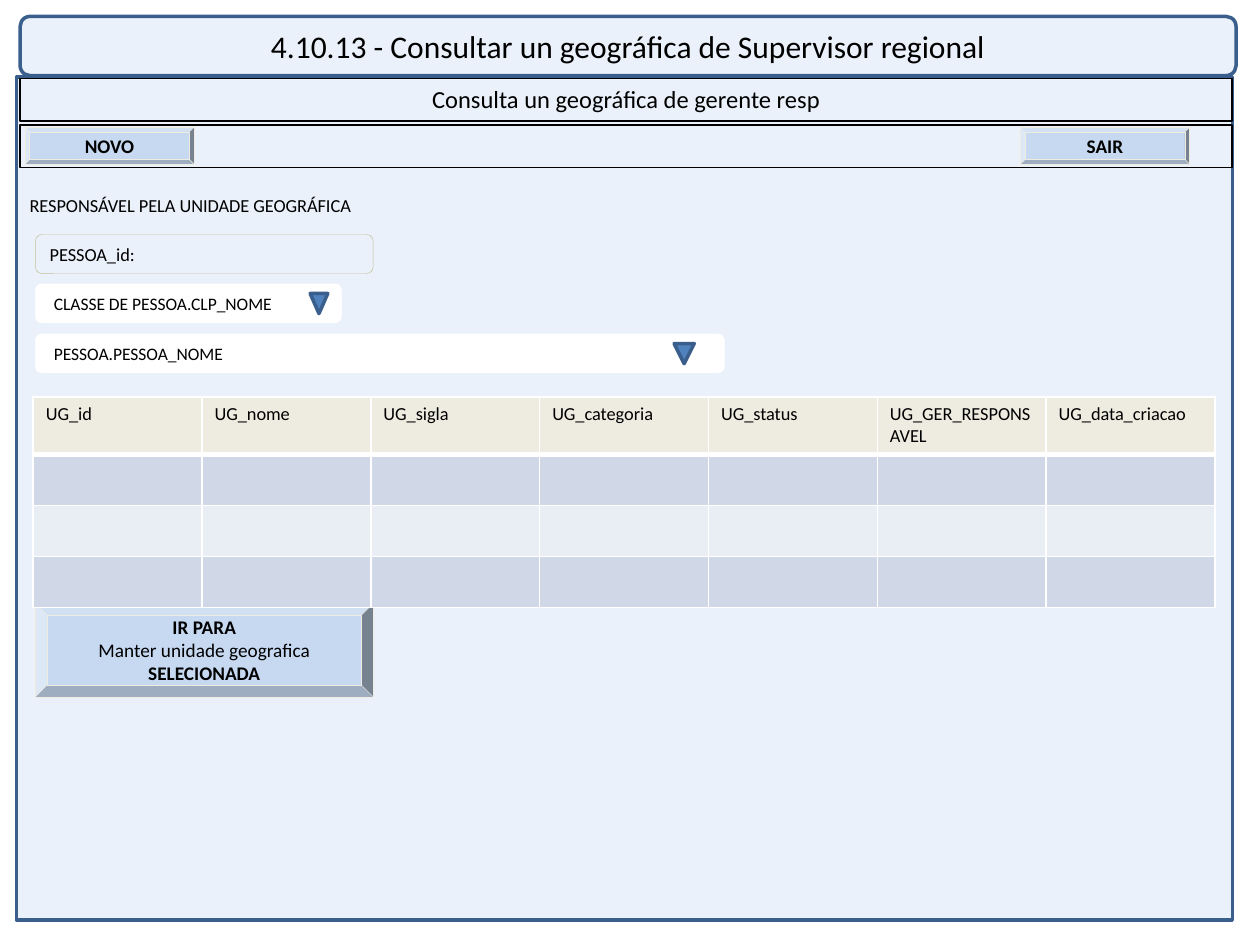
from lxml import etree
from pptx import Presentation
from pptx.dml.color import RGBColor
from pptx.enum.shapes import MSO_SHAPE
from pptx.enum.text import MSO_ANCHOR, PP_ALIGN
from pptx.oxml.ns import qn
from pptx.util import Pt

COLORS = {
    "panel": "EAF1FA", "frame": "3A5F8C", "black": "000000", "white": "FFFFFF",
    "button": "C6D9F1", "cream": "EEECE1", "field": "C4BD97", "arrow": "4F81BD",
    "band_dark": "D0D8E8", "band_light": "E9EDF4",
}
FONT = "Calibri"
COLUMNS = ["UG_id", "UG_nome", "UG_sigla", "UG_categoria", "UG_status",
           "UG_GER_RESPONSAVEL", "UG_data_criacao"]
BANDS = ["band_dark", "band_light", "band_dark"]


def color(name):
    return RGBColor.from_string(COLORS[name])


def write(frame, lines, size, align=PP_ALIGN.LEFT):
    for index, (text, bold) in enumerate(lines):
        paragraph = frame.paragraphs[0] if index == 0 else frame.add_paragraph()
        paragraph.alignment = align
        run = paragraph.add_run()
        run.text = text
        run.font.name = FONT
        run.font.size = Pt(size)
        run.font.bold = bold
        run.font.color.rgb = color("black")


def draw(slide, kind, box, fill=None, line=None, width=0.25, lines=(), size=10.5,
         align=PP_ALIGN.LEFT, anchor=MSO_ANCHOR.MIDDLE, inset=7.2):
    shape = slide.shapes.add_shape(kind, *map(Pt, box))
    shape.shadow.inherit = False
    if fill:
        shape.fill.solid()
        shape.fill.fore_color.rgb = color(fill)
    else:
        shape.fill.background()
    if line:
        shape.line.color.rgb = color(line)
        shape.line.width = Pt(width)
    else:
        shape.line.fill.background()
    frame = shape.text_frame
    frame.word_wrap = True
    frame.vertical_anchor = anchor
    frame.margin_left = Pt(inset)
    write(frame, lines, size, align)
    return shape


def add_button(slide, box, lines):
    draw(slide, MSO_SHAPE.BEVEL, box, "button", "cream", lines=lines, size=11,
         align=PP_ALIGN.CENTER)


def add_header(slide, left, top, width):
    draw(slide, MSO_SHAPE.RECTANGLE, (left, top + 35.3, width - 2.2, 24.5),
         line="black", width=0.75, lines=[("Consulta un geográfica de gerente resp", False)],
         size=14, align=PP_ALIGN.CENTER, anchor=MSO_ANCHOR.TOP)
    draw(slide, MSO_SHAPE.RECTANGLE, (left, top + 62, width - 2.2, 24.5),
         line="black", width=0.75)
    draw(slide, MSO_SHAPE.ROUNDED_RECTANGLE, (left, top, width, 33.8), "panel", "frame", 2,
         [("4.10.13 - Consultar un geográfica de Supervisor regional", False)],
         18, PP_ALIGN.CENTER)
    for offset, label in ((2.9, "NOVO"), (571.7, "SAIR")):
        add_button(slide, (left + offset, top + 63.4, 96.5, 20.9), [(label, True)])


def add_dropdown(slide, left, top, width, label, arrow_left, arrow_width):
    draw(slide, MSO_SHAPE.ROUNDED_RECTANGLE, (left, top, width, 22.3), "white", "white",
         lines=[(label, False)], size=10, inset=9.5)
    arrow = draw(slide, MSO_SHAPE.FLOWCHART_EXTRACT,
                 (left + arrow_left, top + 5.5, arrow_width, 11.5), "arrow", "frame", 2)
    arrow.rotation = 180


def add_filters(slide, left, top):
    draw(slide, MSO_SHAPE.ROUNDED_RECTANGLE, (left - 11.5, top, 278, 22.3),
         lines=[("RESPONSÁVEL PELA UNIDADE GEOGRÁFICA", False)])
    draw(slide, MSO_SHAPE.ROUNDED_RECTANGLE, (left, top + 28.1, 193, 22.3), line="field",
         lines=[("PESSOA_id:", False)])
    add_dropdown(slide, left, top + 56.3, 175, "CLASSE DE PESSOA.CLP_NOME", 157, 10.1)
    add_dropdown(slide, left, top + 84.9, 393.8, "PESSOA.PESSOA_NOME", 365, 11.5)


def set_borders(cell, bottom):
    properties = cell._tc.get_or_add_tcPr()
    for index, (side, width) in enumerate(
            (("lnL", 1), ("lnR", 1), ("lnT", 1), ("lnB", bottom))):
        border = etree.Element(qn(f"a:{side}"), w=str(Pt(width)))
        fill = etree.SubElement(border, qn("a:solidFill"))
        etree.SubElement(fill, qn("a:srgbClr"), val=COLORS["white"])
        properties.insert(index, border)


def add_units_table(slide, left, top, width):
    heights = [32.8] + [29.2] * len(BANDS)
    table = slide.shapes.add_table(len(heights), len(COLUMNS), Pt(left), Pt(top),
                                   Pt(width), Pt(sum(heights))).table
    for column in table.columns:
        column.width = Pt(width / len(COLUMNS))
    for index, (height, fill) in enumerate(zip(heights, ["cream"] + BANDS)):
        table.rows[index].height = Pt(height)
        for cell, label in zip(table.rows[index].cells, COLUMNS):
            cell.fill.solid()
            cell.fill.fore_color.rgb = color(fill)
            set_borders(cell, 3 if index == 0 else 1)
            if index == 0:
                write(cell.text_frame, [(label, False)], 10.5)


def build_screen(slide, left, top):
    draw(slide, MSO_SHAPE.RECTANGLE, (left, top + 34.5, 694.8, 481.7), "panel", "frame", 2)
    add_header(slide, left + 2.1, top, 694.8)
    add_filters(slide, left + 10.8, top + 96.5)
    add_button(slide, (left + 10.8, top + 335.5, 193, 53.3),
               [("IR PARA", True), ("Manter unidade geografica", False), ("SELECIONADA", True)])
    add_units_table(slide, left + 9.6, top + 217.4, 675.4)


presentation = Presentation()
presentation.slide_width = Pt(720)
presentation.slide_height = Pt(540)
screen = presentation.slides.add_slide(presentation.slide_layouts[6])
build_screen(screen, 9.4, 9.4)
presentation.save("out.pptx")
